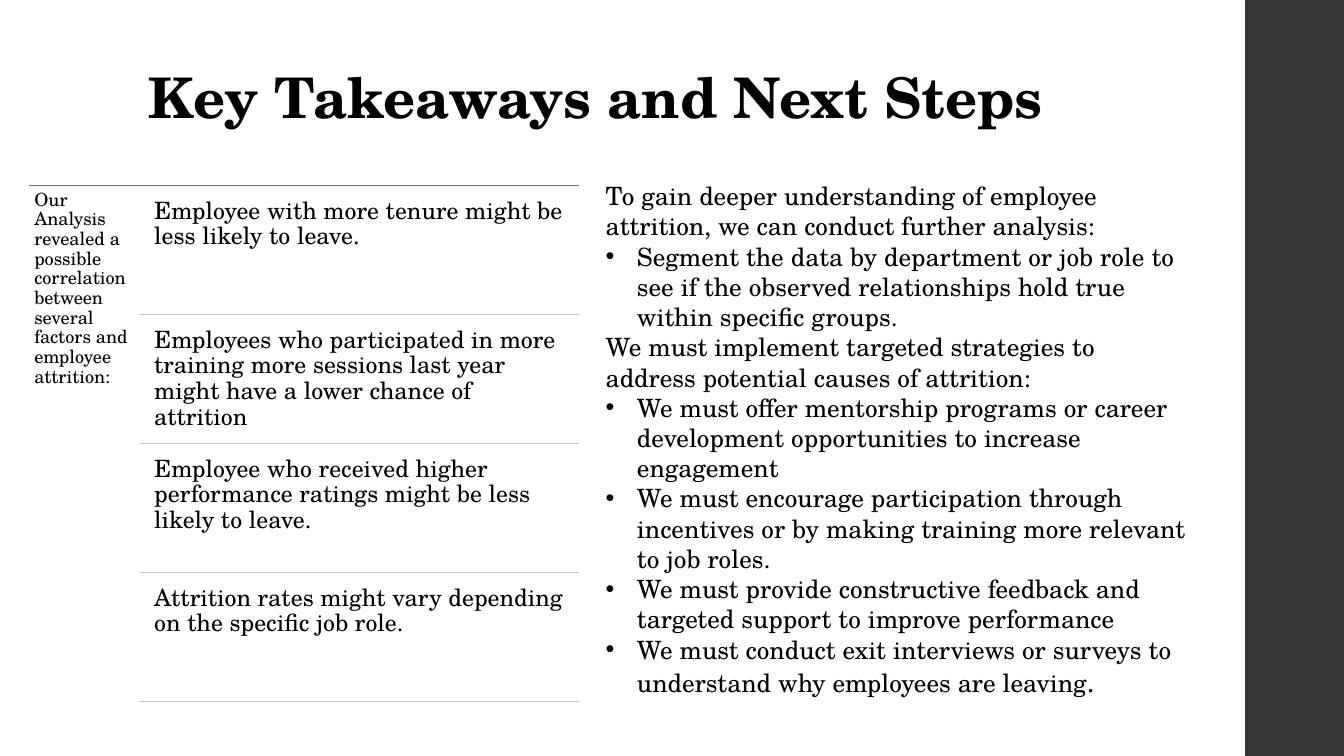
from lxml import etree
from pptx import Presentation
from pptx import util as u
from pptx.dml.color import RGBColor
from pptx.enum import shapes, text
from pptx.oxml.ns import qn

PX = 9144
THEME = {
    "font": "TeX Gyre Schola",
    "ink": RGBColor.from_string("000000"),
    "band": RGBColor.from_string("353537"),
    "top_rule": RGBColor.from_string("6F6F74"),
    "row_rule": RGBColor.from_string("C8C8C9"),
    "title": 40,
    "body": 18,
    "period": 20,
    "finding": 17,
    "label": 13,
}
FINDINGS = [
    "Employee with more tenure might be less likely to leave.",
    "Employees who participated in more training more sessions last year might have a lower chance of attrition",
    "Employee who received higher performance ratings might be less likely to leave.",
    "Attrition rates might vary depending on the specific job role.",
]
NEXT_STEPS = [
    (False, ["To gain deeper understanding of employee attrition, we can conduct further analysis:"]),
    (True, ["Segment the data by department or job role to see if the observed relationships hold true within specific groups."]),
    (False, ["We must implement targeted strategies to address potential causes of attrition:"]),
    (True, ["We must offer mentorship programs or career development opportunities to increase engagement"]),
    (True, ["We must encourage participation through incentives or by making training more relevant to job roles."]),
    (True, ["We must provide constructive feedback and targeted support to improve performance"]),
    (True, ["We must conduct exit interviews or surveys to understand why employees are leaving", "."]),
]


def write(box, paragraphs, size, inset=None, spacing=None):
    frame = box.text_frame
    frame.word_wrap = True
    frame.auto_size = text.MSO_AUTO_SIZE.NONE
    frame.vertical_anchor = text.MSO_ANCHOR.TOP
    if inset is not None:
        frame.margin_left = frame.margin_right = inset * PX
        frame.margin_top = frame.margin_bottom = inset * PX
    for index, (bulleted, pieces) in enumerate(paragraphs):
        para = frame.paragraphs[0] if index == 0 else frame.add_paragraph()
        if spacing:
            para.line_spacing = spacing
        if bulleted:
            props = para._p.get_or_add_pPr()
            props.set("marL", str(31 * PX))
            props.set("indent", str(-31 * PX))
            etree.SubElement(props, qn("a:buFont")).set("typeface", "Arial")
            etree.SubElement(props, qn("a:buChar")).set("char", "•")
        for piece in pieces:
            span = para.add_run()
            span.text = piece
            span.font.name = THEME["font"]
            span.font.size = u.Pt(size)
            span.font.color.rgb = THEME["ink"]


def add_rule(page, left, right, top, color):
    rule = page.shapes.add_connector(
        shapes.MSO_CONNECTOR.STRAIGHT, left * PX, top * PX, right * PX, top * PX
    )
    rule.line.color.rgb = color
    rule.line.width = u.Pt(1.1)
    etree.SubElement(rule._element.spPr, qn("a:effectLst"))


deck = Presentation()
deck.slide_width = 1333 * PX
deck.slide_height = 750 * PX
page = deck.slides.add_slide(deck.slide_layouts[5])

band = page.shapes.add_shape(
    shapes.MSO_SHAPE.RECTANGLE, 1235 * PX, 0, 98 * PX, 750 * PX
)
band.shadow.inherit = False
band.fill.solid()
band.fill.fore_color.rgb = THEME["band"]
band.line.fill.background()

title = page.shapes.title
title.left, title.top, title.width, title.height = [n * PX for n in (105, 57, 988, 77)]
write(title, [(False, ["Key Takeaways and Next Steps "])], THEME["title"])
title.text_frame.paragraphs[0].alignment = text.PP_ALIGN.CENTER
title.text_frame.paragraphs[0].runs[0].font.bold = True

steps = page.shapes.add_textbox(591 * PX, 174 * PX, 600 * PX, 528 * PX)
write(steps, NEXT_STEPS, THEME["body"])
steps.text_frame.paragraphs[-1].runs[-1].font.size = u.Pt(THEME["period"])

list_top, row_pitch = 184, 128
add_rule(page, 29, 574, list_top, THEME["top_rule"])
label = page.shapes.add_textbox(29 * PX, list_top * PX, 109 * PX, 519 * PX)
write(
    label,
    [(False, ["Our Analysis revealed a possible correlation between several factors and employee attrition:"])],
    THEME["label"], inset=5, spacing=0.9,
)

for row, finding in enumerate(FINDINGS):
    row_top = list_top + row * row_pitch
    box = page.shapes.add_textbox(146 * PX, (row_top + 6) * PX, 427 * PX, 122 * PX)
    write(box, [(False, [finding])], THEME["finding"], inset=7, spacing=0.9)
    add_rule(page, 138, 574, row_top + row_pitch, THEME["row_rule"])

deck.save("out.pptx")
